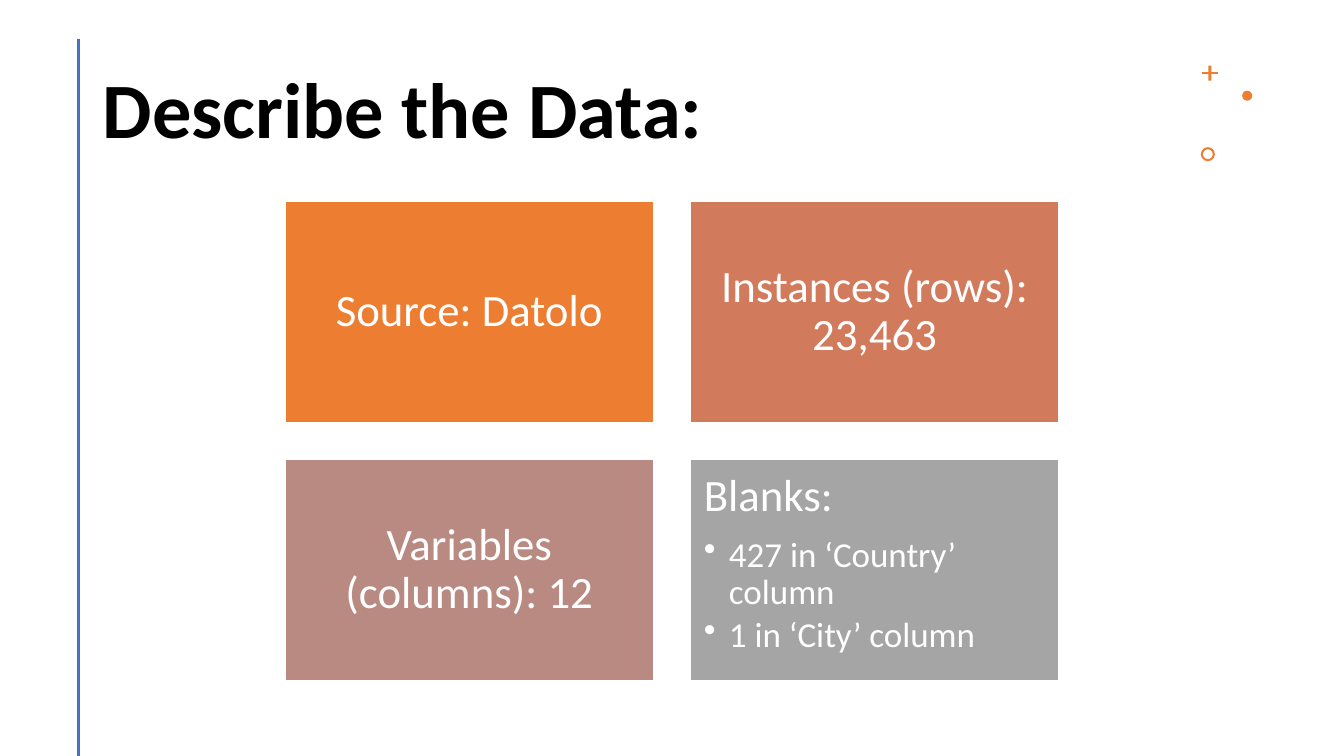
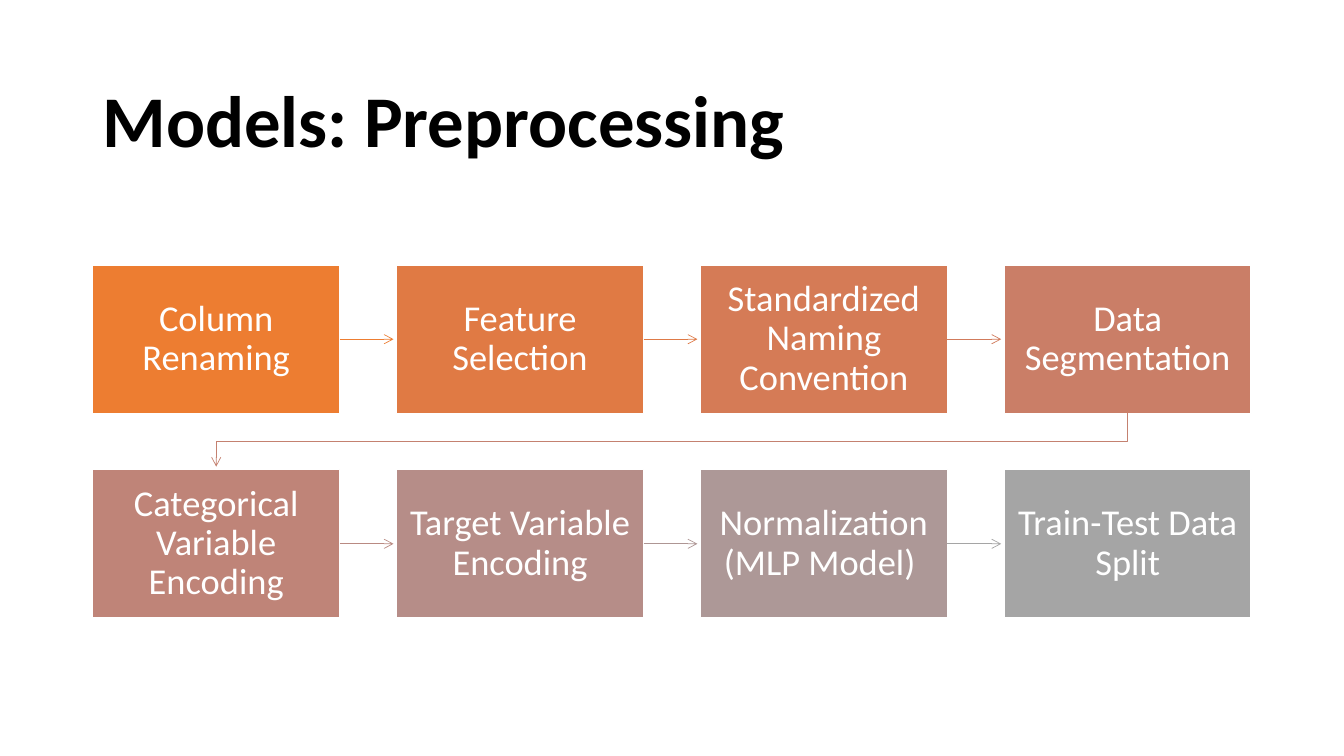
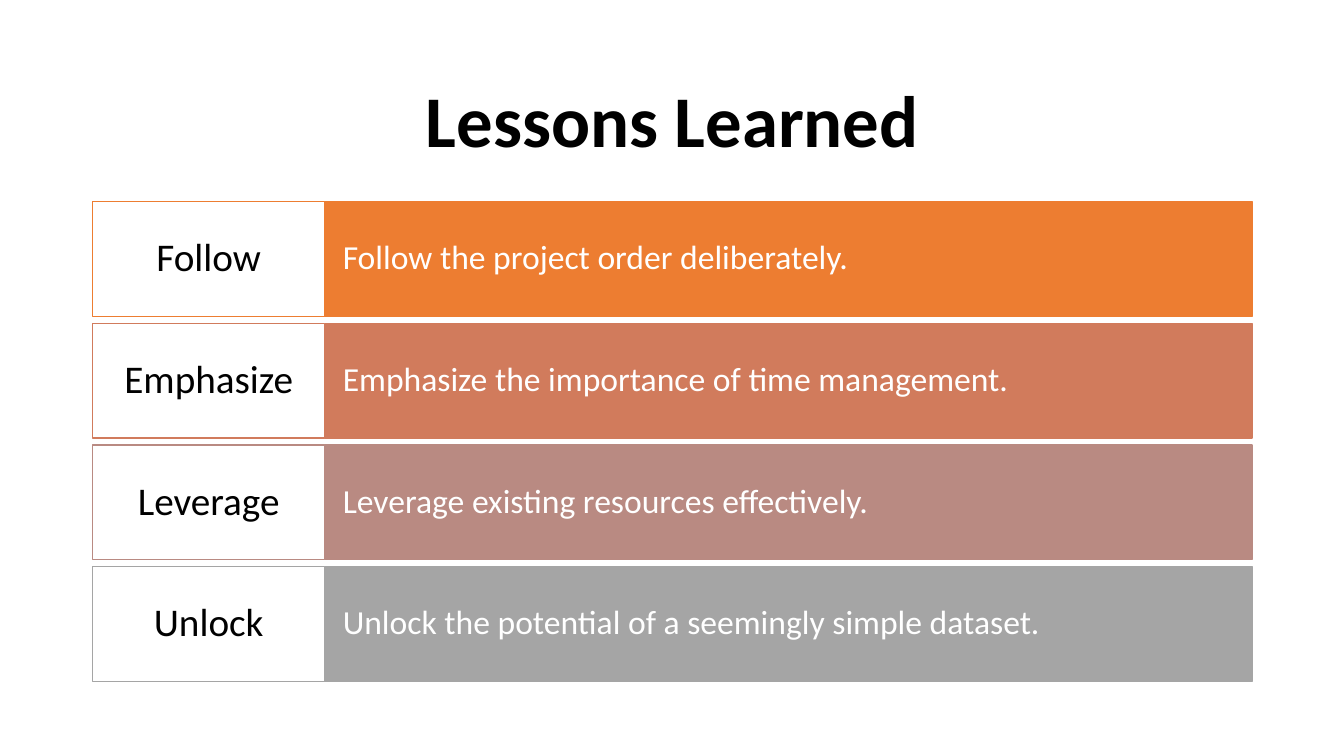
from dataclasses import dataclass

from lxml.etree import SubElement
from pptx import Presentation
from pptx.dml.color import RGBColor
from pptx.enum.shapes import MSO_CONNECTOR as Link, MSO_SHAPE as Preset
from pptx.enum.text import MSO_ANCHOR as Anchor, PP_ALIGN as Align
from pptx.oxml.ns import qn
from pptx.shapes.autoshape import Shape
from pptx.shapes.connector import Connector
from pptx.slide import Slide
from pptx.text.text import _Paragraph as Paragraph
from pptx.util import Inches, Pt


@dataclass(frozen=True)
class Theme:
    font: str = "Calibri"
    black: str = "000000"
    white: str = "FFFFFF"
    accent: str = "ED7D31"
    rule: str = "4472C4"
    four_steps: tuple[str, ...] = ("ED7D31", "D17B5C", "B98A82", "A5A5A5")
    eight_steps: tuple[str, ...] = (
        "ED7D31", "E07A44", "D57B56", "CA7E67", "BF8478", "B68D88", "AD9897", "A5A5A5")
    seven_arrows: tuple[str, ...] = (
        "ED7D31", "DE7A47", "D17B5C", "C48170", "B98A82", "AE9694", "A5A5A5")
    large_title: int = 56
    title: int = 52
    fact: int = 32
    detail: int = 25
    step: int = 26
    keyword: int = 28
    lesson: int = 24
    line_spacing: float = 0.9


THEME = Theme()


@dataclass(frozen=True)
class Box:
    left: float
    top: float
    width: float
    height: float

    @property
    def lengths(self) -> tuple[Inches, Inches, Inches, Inches]:
        return Inches(self.left), Inches(self.top), Inches(self.width), Inches(self.height)


@dataclass(frozen=True)
class TextStyle:
    size: int
    color: str = THEME.white
    align: Align = Align.CENTER
    bold: bool = False
    inset: tuple[float, float] = (0.12, 0.13)
    anchor: Anchor = Anchor.MIDDLE


@dataclass(frozen=True)
class Mark:
    preset: Preset
    box: Box
    thickness: float | None = None


@dataclass(frozen=True)
class Lesson:
    keyword: str
    sentence: str
    color: str


FACT = TextStyle(THEME.fact, inset=(0.13, 0.13))
BLANKS = TextStyle(THEME.fact, align=Align.LEFT, inset=(0.13, 0.13), anchor=Anchor.TOP)
STEP = TextStyle(THEME.step)
KEYWORD = TextStyle(THEME.keyword, THEME.black, inset=(0.12, 0.11))
SENTENCE = TextStyle(THEME.lesson, align=Align.LEFT, inset=(0.18, 0.29))

MARKS = (
    Mark(Preset.CROSS, Box(11.92, 0.65, 0.16, 0.15), 0.44),
    Mark(Preset.OVAL, Box(12.32, 0.9, 0.1, 0.1)),
    Mark(Preset.DONUT, Box(11.91, 1.46, 0.14, 0.14), 0.15),
)
FACTS = ("Source: Datolo", "Instances (rows): 23,463", "Variables (columns): 12", "Blanks:")
BLANK_COUNTS = ("427 in ‘Country’ column", "1 in ‘City’ column")
STEPS = (
    "Column Renaming", "Feature Selection", "Standardized Naming Convention",
    "Data Segmentation", "Categorical Variable Encoding", "Target Variable Encoding",
    "Normalization (MLP Model) ", "Train-Test Data Split",
)
LESSONS = tuple(
    Lesson(f"{sentence.split()[0]}", sentence, color)
    for sentence, color in zip((
        "Follow the project order deliberately.",
        "Emphasize the importance of time management.",
        "Leverage existing resources effectively.",
        "Unlock the potential of a seemingly simple dataset.",
    ), THEME.four_steps)
)


def rgb(color: str) -> RGBColor:
    return RGBColor.from_string(color)


def format_paragraph(paragraph: Paragraph, style: TextStyle) -> None:
    paragraph.alignment = style.align
    paragraph.line_spacing = THEME.line_spacing
    for run in paragraph.runs:
        run.font.name = THEME.font
        run.font.size = Pt(style.size)
        run.font.bold = style.bold
        run.font.color.rgb = rgb(style.color)


def write_text(shape: Shape, text: str, style: TextStyle) -> None:
    frame = shape.text_frame
    frame.word_wrap = True
    frame.vertical_anchor = style.anchor
    frame.margin_left = frame.margin_right = Inches(style.inset[0])
    frame.margin_top = frame.margin_bottom = Inches(style.inset[1])
    frame.text = text
    for paragraph in frame.paragraphs:
        format_paragraph(paragraph, style)


def add_title(slide: Slide, text: str, box: Box, size: int = THEME.title,
              align: Align = Align.LEFT) -> None:
    style = TextStyle(size, THEME.black, align, bold=True, inset=(0.1, 0.05))
    write_text(slide.shapes.add_textbox(*box.lengths), text, style)


def add_panel(slide: Slide, box: Box, text: str, style: TextStyle, fill: str,
              outline: str = THEME.white) -> Shape:
    panel = slide.shapes.add_shape(Preset.RECTANGLE, *box.lengths)
    panel.shadow.inherit = False
    panel.fill.solid()
    panel.fill.fore_color.rgb = rgb(fill)
    panel.line.color.rgb = rgb(outline)
    panel.line.width = Pt(1)
    write_text(panel, text, style)
    return panel


def add_mark(slide: Slide, mark: Mark) -> None:
    ornament = slide.shapes.add_shape(mark.preset, *mark.box.lengths)
    ornament.shadow.inherit = False
    ornament.fill.solid()
    ornament.fill.fore_color.rgb = rgb(THEME.accent)
    ornament.line.fill.background()
    if mark.thickness is not None:
        ornament.adjustments[0] = mark.thickness


def add_line(slide: Slide, start: tuple[float, float], end: tuple[float, float],
             color: str, width: float) -> Connector:
    line = slide.shapes.add_connector(Link.STRAIGHT, *map(Inches, start + end))
    line.line.color.rgb = rgb(color)
    line.line.width = Pt(width)
    SubElement(line._element.spPr, qn("a:effectLst"))
    return line


def add_arrowhead(line: Connector | Shape) -> None:
    outline = line._element.spPr.find(qn("a:ln"))
    SubElement(outline, qn("a:tailEnd"), type="arrow")


def add_bullet(shape: Shape, text: str, style: TextStyle, indent: float) -> None:
    paragraph = shape.text_frame.add_paragraph()
    paragraph.text = text
    paragraph.level = 1
    format_paragraph(paragraph, style)
    paragraph.space_after = Pt(style.size * 0.15)
    properties = paragraph._p.get_or_add_pPr()
    properties.set("marL", str(Inches(indent)))
    properties.set("indent", str(-Inches(indent)))
    SubElement(properties, qn("a:buChar"), char="•")


def build_data_slide(slide: Slide) -> None:
    add_title(slide, "Describe the Data:", Box(0.92, 0.4, 10.76, 1.45), THEME.large_title)
    add_line(slide, (0.78, 0.39), (0.78, 7.5), THEME.rule, 2)
    for mark in MARKS:
        add_mark(slide, mark)

    width, height, gap = 3.65, 2.19, 0.37
    for index, (fact, color) in enumerate(zip(FACTS, THEME.four_steps)):
        row, column = divmod(index, 2)
        box = Box(2.83 + column * (width + gap), 2 + row * (height + gap), width, height)
        style = BLANKS if fact == "Blanks:" else FACT
        panel = add_panel(slide, box, fact, style, color)

    panel.text_frame.paragraphs[0].space_after = Pt(THEME.fact * 0.35)
    detail = TextStyle(THEME.detail, align=Align.LEFT)
    for count in BLANK_COUNTS:
        add_bullet(panel, count, detail, 0.25)


def build_preprocessing_slide(slide: Slide) -> None:
    add_title(slide, "Models: Preprocessing", Box(0.92, 0.61, 11.5, 1.24))
    columns, clearance = 4, 0.03
    width, height = 2.45, 1.47
    column_pitch, row_pitch = 9.04 / (columns - 1), 2.03
    boxes = [
        Box(0.92 + index % columns * column_pitch, 2.63 + index // columns * row_pitch,
            width, height)
        for index in range(len(STEPS))
    ]
    panels = [
        add_panel(slide, box, step, STEP, color)
        for box, step, color in zip(boxes, STEPS, THEME.eight_steps)
    ]
    for panel, here, following, color in zip(panels, boxes, boxes[1:], THEME.seven_arrows):
        if following.top == here.top:
            middle = here.top + height / 2
            arrow = add_line(slide, (here.left + width, middle),
                             (following.left - clearance, middle), color, 0.5)
            arrow.begin_connect(panel, 3)
        else:
            start_x, end_x = here.left + width / 2, following.left + width / 2
            bottom = here.top + height
            turn = (bottom + following.top) / 2
            corners = ((start_x, turn), (end_x, turn), (end_x, following.top - clearance))
            builder = slide.shapes.build_freeform(Inches(start_x), Inches(bottom))
            builder.add_line_segments(
                [(Inches(x), Inches(y)) for x, y in corners], close=False)
            arrow = builder.convert_to_shape()
            arrow.shadow.inherit = False
            arrow.fill.background()
            arrow.line.color.rgb = rgb(color)
            arrow.line.width = Pt(0.5)
        add_arrowhead(arrow)


def build_lessons_slide(slide: Slide) -> None:
    add_title(slide, "Lessons Learned", Box(0.92, 0.61, 11.5, 1.24), align=Align.CENTER)
    left, keyword_width, sentence_width, height = 0.92, 2.3, 9.2, 1.14
    pitch = 3.62 / (len(LESSONS) - 1)
    for index, lesson in enumerate(LESSONS):
        top = 2 + index * pitch
        add_panel(slide, Box(left + keyword_width, top, sentence_width, height),
                  lesson.sentence, SENTENCE, lesson.color, lesson.color)
        add_panel(slide, Box(left, top, keyword_width, height),
                  lesson.keyword, KEYWORD, THEME.white, lesson.color)


def main() -> None:
    deck = Presentation()
    deck.slide_width, deck.slide_height = Inches(13.33), Inches(7.5)
    blank = deck.slide_layouts[6]
    for build in (build_data_slide, build_preprocessing_slide, build_lessons_slide):
        build(deck.slides.add_slide(blank))
    deck.save("out.pptx")


if __name__ == "__main__":
    main()
